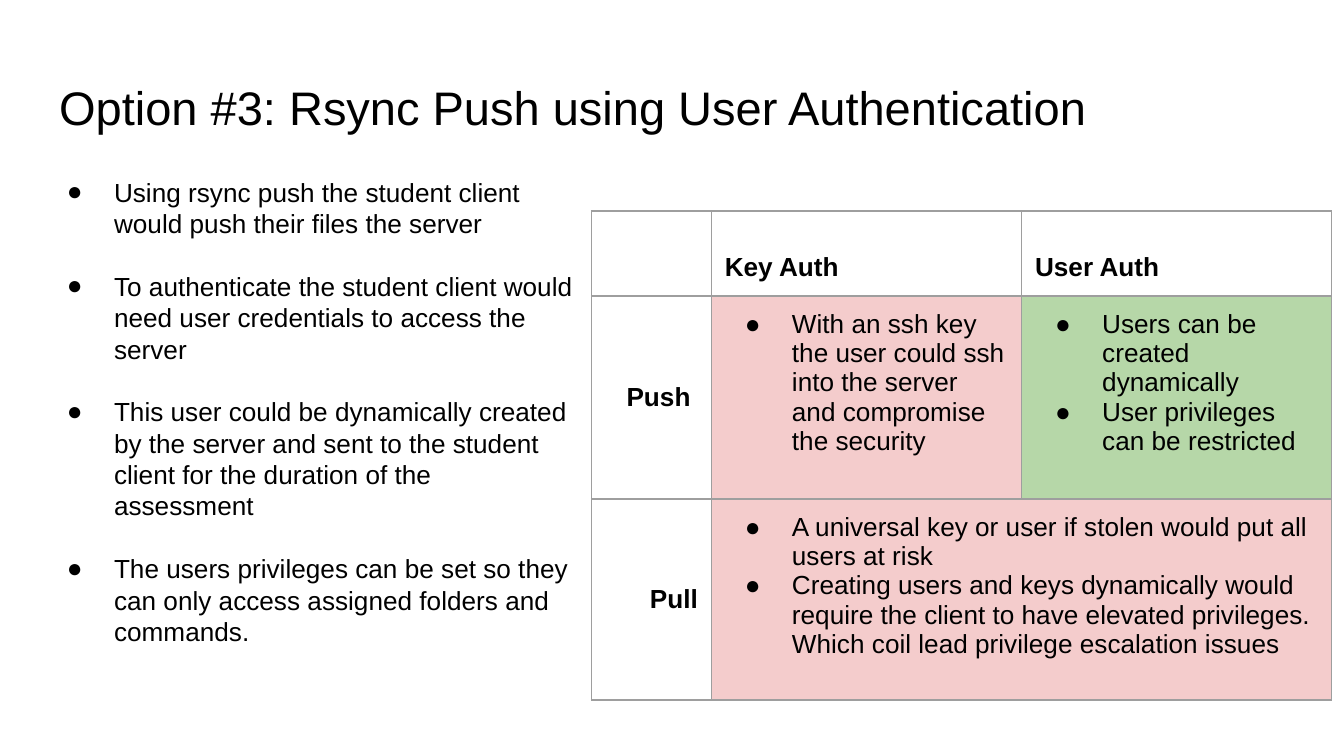
from lxml.etree import SubElement, fromstring
from pptx import Presentation
from pptx.dml.color import RGBColor
from pptx.enum.text import MSO_ANCHOR as Anchor, MSO_AUTO_SIZE as AutoSize, PP_ALIGN as Align
from pptx.oxml.ns import nsdecls, qn
from pptx.util import Inches, Pt

COLORS = {"text": "000000", "border": "9E9E9E", "bad": "F4CCCC", "good": "B6D7A8"}
FONT = "Arial"
INSET = Inches(0.1)
BODY_SIZE = 14

TITLE = "Option #3: Rsync Push using User Authentication"
POINTS = [
    "Using rsync push the student client would push their files the server",
    "To authenticate the student client would need user credentials to access the server",
    "This user could be dynamically created by the server and sent to the student "
    "client for the duration of the assessment",
    "The users privileges can be set so they can only access assigned folders and commands.",
]
COLUMN_HEADS = ["Key Auth", "User Auth"]
ROW_HEADS = ["Push ", "Pull"]
VERDICTS = [
    (1, 1, "bad", ["With an ssh key the user could ssh into the server and compromise the security"]),
    (1, 2, "good", ["Users can be created dynamically", "User privileges can be restricted"]),
    (2, 1, "bad", [
        "A universal key or user if stolen would put all users at risk",
        "Creating users and keys dynamically would require the client to have elevated "
        "privileges. Which coil lead privilege escalation issues",
    ]),
]


def set_insets(holder):
    """Give a text frame or table cell equal margins."""
    holder.margin_left = holder.margin_right = INSET
    holder.margin_top = holder.margin_bottom = INSET


def write(frame, lines, size=BODY_SIZE, bold=False, align=Align.LEFT):
    """Fill a text frame with one paragraph for each line."""
    frame.text = "\n".join(lines)
    for paragraph in frame.paragraphs:
        paragraph.alignment = align
        for run in paragraph.runs:
            run.font.name = FONT
            run.font.size = Pt(size)
            run.font.bold = bold
            run.font.color.rgb = RGBColor.from_string(COLORS["text"])


def add_bullets(frame):
    """Put a hanging round bullet on every paragraph."""
    for paragraph in frame.paragraphs:
        props = paragraph._p.get_or_add_pPr()
        props.set("marL", str(Inches(0.5)))
        props.set("indent", str(-Inches(0.35)))
        bullet_color = SubElement(props, qn("a:buClr"))
        SubElement(bullet_color, qn("a:srgbClr"), val=COLORS["text"])
        SubElement(props, qn("a:buSzPts"), val=str(BODY_SIZE * 100))
        SubElement(props, qn("a:buFont"), typeface=FONT)
        SubElement(props, qn("a:buChar"), char="●")


def add_borders(cell):
    """Draw a thin line on all four sides of a cell."""
    props = cell._tc.get_or_add_tcPr()
    for position, side in enumerate("LRTB"):
        props.insert(position, fromstring(
            f'<a:ln{side} {nsdecls("a")} w="{Pt(0.75)}"><a:solidFill>'
            f'<a:srgbClr val="{COLORS["border"]}"/></a:solidFill></a:ln{side}>'))


def place_title(slide, box):
    """Move the title placeholder to the box and format it."""
    title = slide.shapes.title
    title.left, title.top, title.width, title.height = box
    frame = title.text_frame
    set_insets(frame)
    frame.auto_size = AutoSize.NONE
    frame.vertical_anchor = Anchor.TOP
    write(frame, [TITLE], size=25.2)


def place_points(slide, box):
    """Add the bulleted explanation in the box."""
    frame = slide.shapes.add_textbox(*box).text_frame
    frame.word_wrap = True
    frame.auto_size = AutoSize.SHAPE_TO_FIT_TEXT
    set_insets(frame)
    write(frame, POINTS)
    for paragraph in frame.paragraphs[1:]:
        paragraph.space_before = Pt(16.8)
    add_bullets(frame)


def place_comparison(slide, box):
    """Add the push and pull comparison table in the box."""
    width, height = box[2:]
    table = slide.shapes.add_table(3, 3, *box).table
    table.first_row = table.horz_banding = False
    for column, share in zip(table.columns, (0.162, 0.419, 0.419)):
        column.width = int(width * share)
    for row, share in zip(table.rows, (0.174, 0.415, 0.411)):
        row.height = int(height * share)
    for cell in table.iter_cells():
        set_insets(cell)
        cell.fill.background()
        add_borders(cell)
    for column, head in enumerate(COLUMN_HEADS, 1):
        cell = table.cell(0, column)
        cell.vertical_anchor = Anchor.BOTTOM
        write(cell.text_frame, [head], bold=True)
    for row, head in enumerate(ROW_HEADS, 1):
        cell = table.cell(row, 0)
        cell.vertical_anchor = Anchor.MIDDLE
        write(cell.text_frame, [head], bold=True, align=Align.RIGHT)
    table.cell(2, 1).merge(table.cell(2, 2))
    for row, column, verdict, reasons in VERDICTS:
        cell = table.cell(row, column)
        cell.fill.solid()
        cell.fill.fore_color.rgb = RGBColor.from_string(COLORS[verdict])
        write(cell.text_frame, reasons)
        add_bullets(cell.text_frame)


def main():
    """Build the slide and save it."""
    deck = Presentation()
    deck.slide_width = Inches(10)
    deck.slide_height = deck.slide_width * 9 // 16
    slide = deck.slides.add_slide(deck.slide_layouts[5])

    def box(*shares):
        """Turn shares of the slide into left, top, width and height."""
        sides = (deck.slide_width, deck.slide_height) * 2
        return [int(side * share) for side, share in zip(sides, shares)]

    place_points(slide, box(0.025, 0.215, 0.415, 0.665))
    place_title(slide, box(0.034, 0.086, 0.932, 0.112))
    place_comparison(slide, box(0.44, 0.279, 0.551, 0.647))
    deck.save("out.pptx")


if __name__ == "__main__":
    main()
